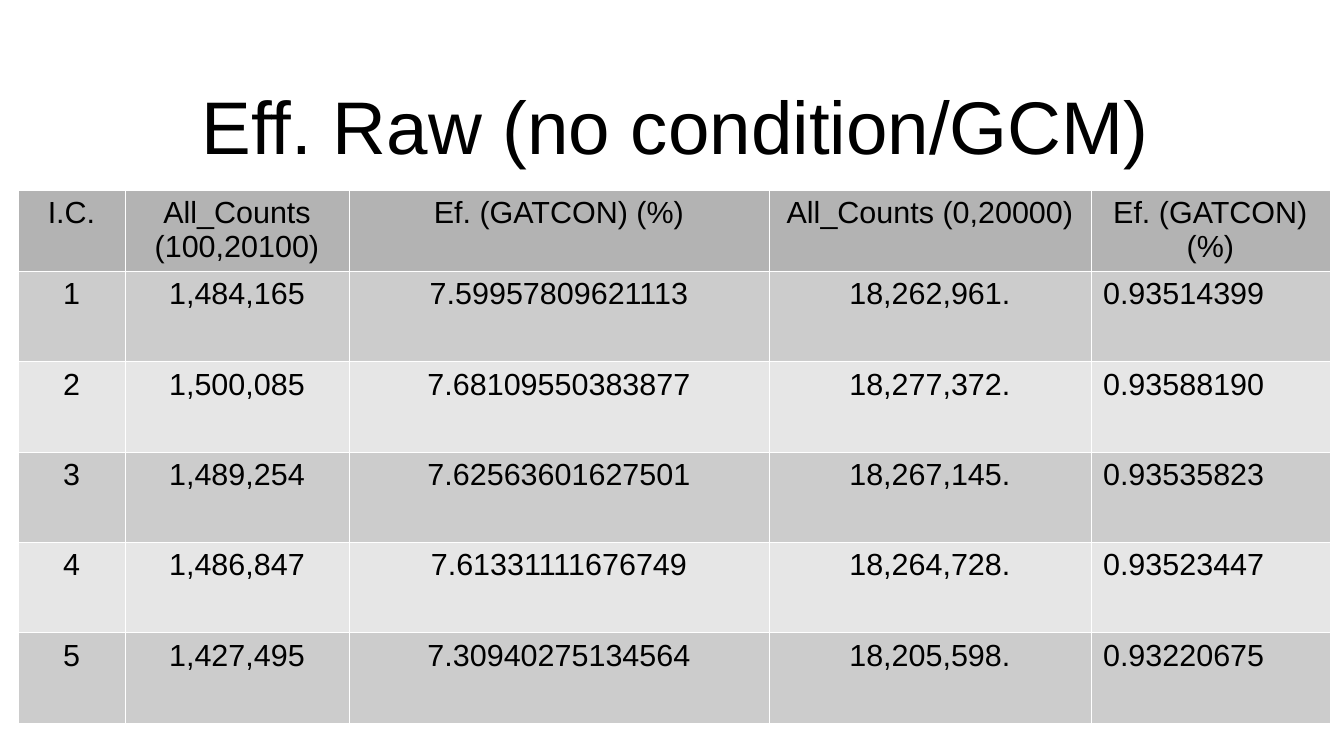
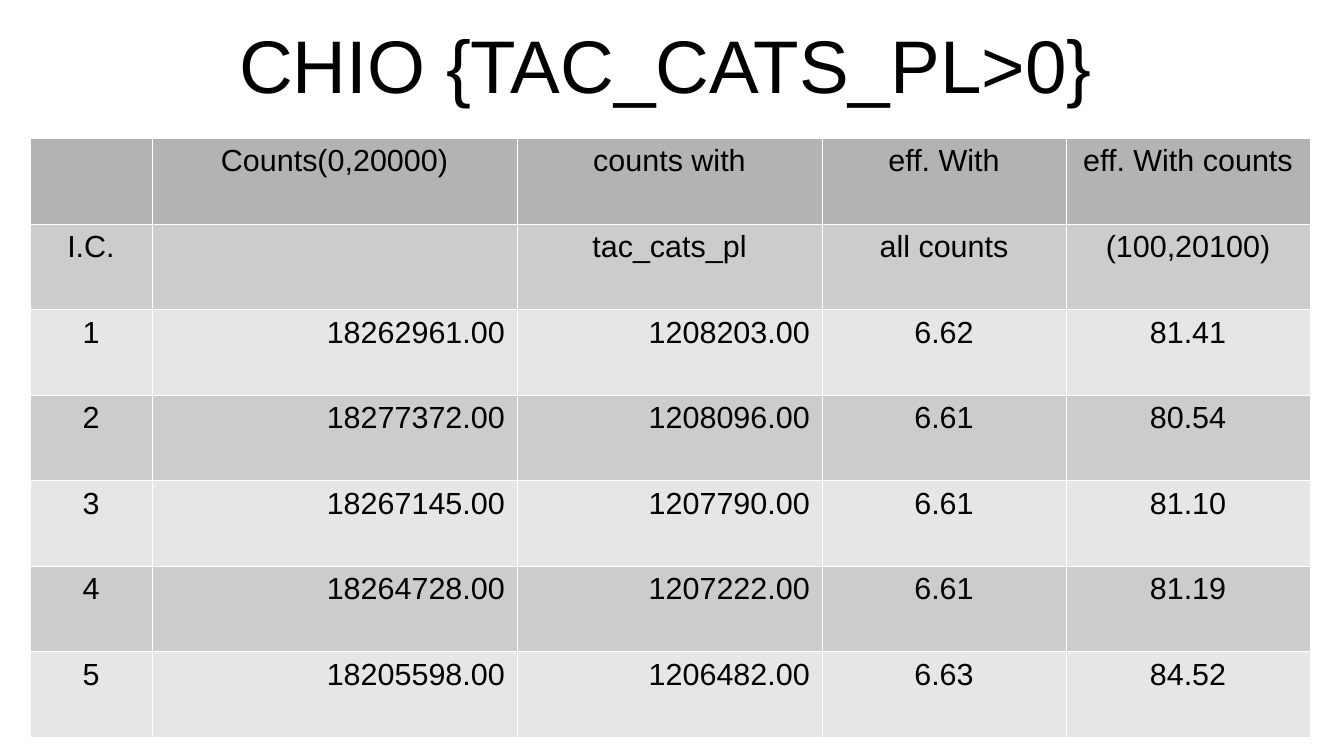
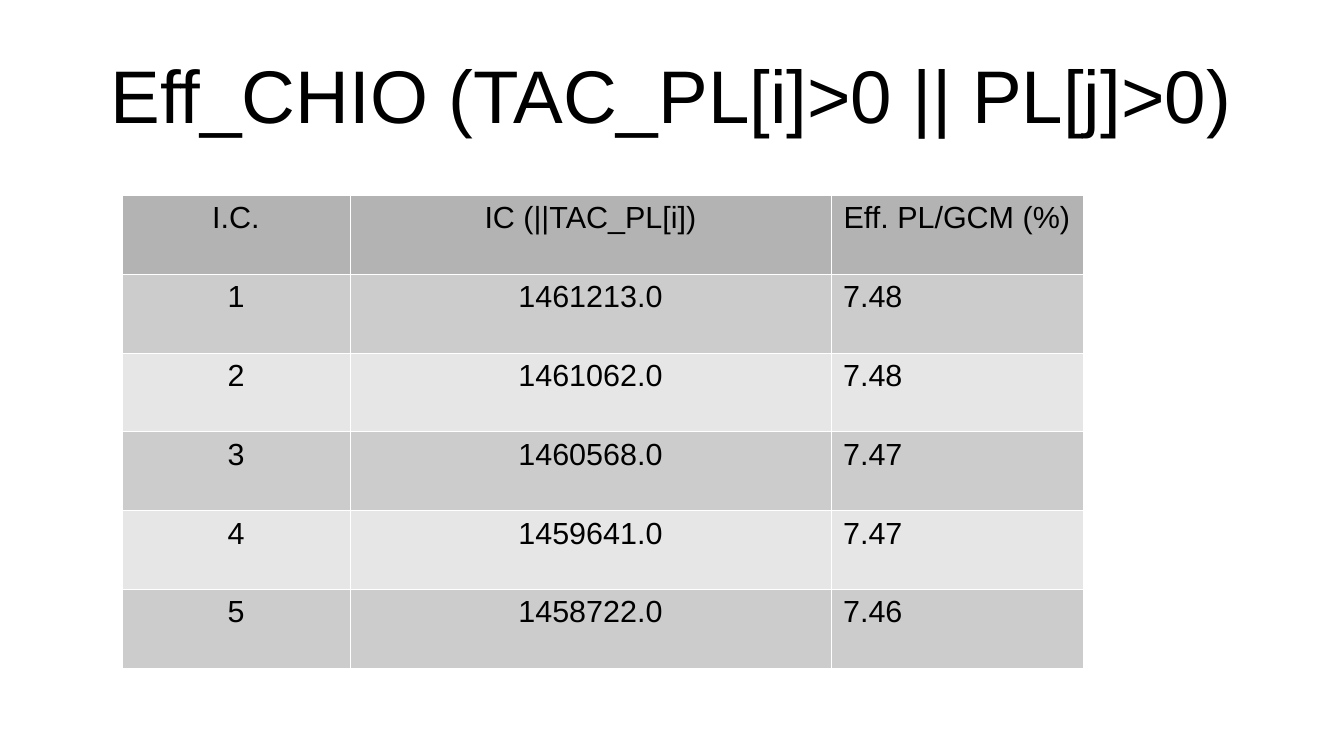
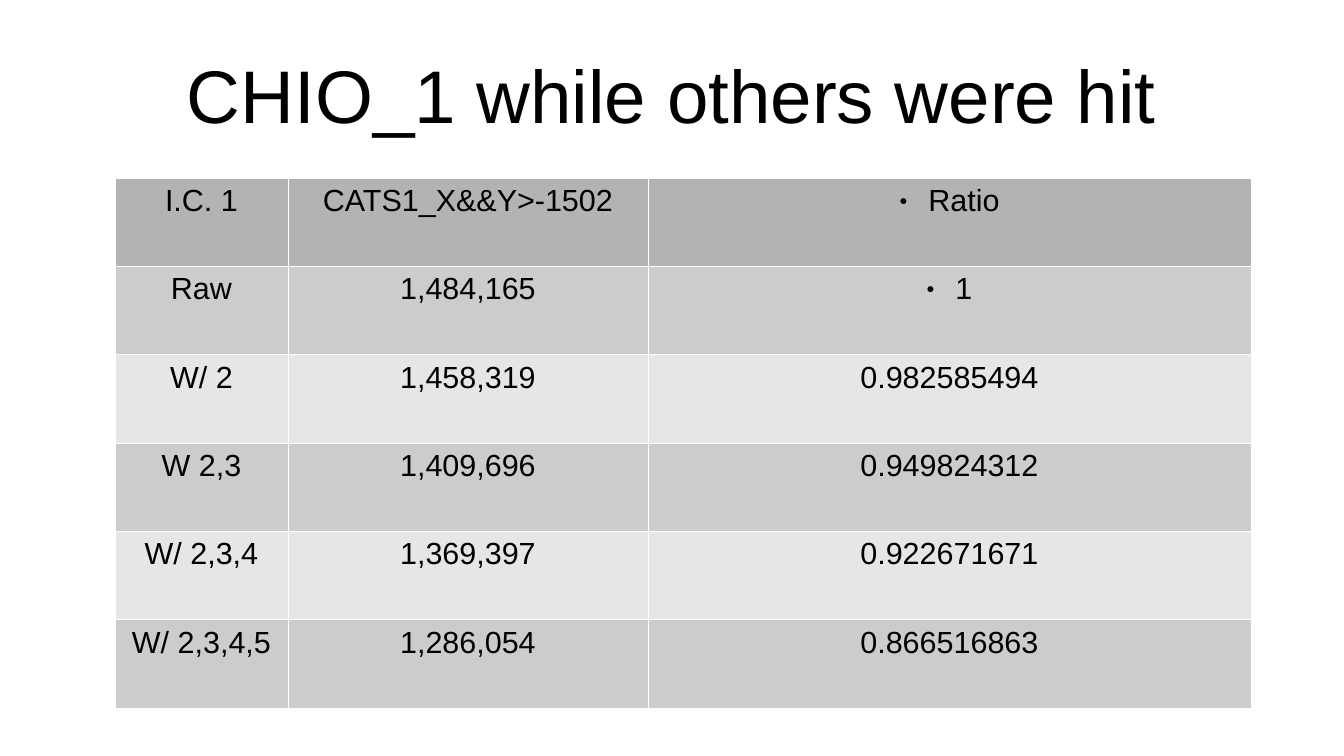
"""Build four slides of detector efficiency tables."""
import pptx
import pptx.dml.color
import pptx.enum.text
import pptx.oxml
import pptx.oxml.ns
import pptx.util

RGBColor = pptx.dml.color.RGBColor
PP_ALIGN = pptx.enum.text.PP_ALIGN
BLACK = RGBColor(0x00, 0x00, 0x00)
WHITE = RGBColor(0xFF, 0xFF, 0xFF)
HEADER = RGBColor(0xB3, 0xB3, 0xB3)
BANDS = (RGBColor(0xE6, 0xE6, 0xE6), RGBColor(0xCC, 0xCC, 0xCC))
ALIGN = {"l": PP_ALIGN.LEFT, "c": PP_ALIGN.CENTER, "r": PP_ALIGN.RIGHT}
FONT = "Arial"
PX = 914400 / 122
NS = pptx.oxml.ns.nsdecls("a")
BORDER = 762


def px(n):
    return pptx.util.Emu(round(n * PX))


def write(tf, text, size=18, align="c", bullet=False):
    p = tf.paragraphs[0]
    p.alignment = ALIGN[align]
    if bullet:
        pPr = p._p.get_or_add_pPr()
        pPr.set("marL", str(px(29)))
        pPr.set("indent", str(px(-29)))
        for xml in (f'<a:buClr {NS}><a:srgbClr val="{BLACK}"/></a:buClr>',
                    f'<a:buSzPct {NS} val="45000"/>',
                    f'<a:buFont {NS} typeface="{FONT}"/>',
                    f'<a:buChar {NS} char="●"/>'):
            pPr.append(pptx.oxml.parse_xml(xml))
    r = p.add_run()
    r.text = text
    r.font.name = FONT
    r.font.size = pptx.util.Pt(size)
    r.font.color.rgb = BLACK


SLIDES = [
    dict(title="Eff. Raw (no condition/GCM)", title_at=(71, 61),
         at=(18, 190), cols=(107, 224, 420, 322, 239), height=533, header=81,
         aligns="ccccl", centred_rows=1, bullets=(), rows=[
             ("I.C.", "All_Counts (100,20100)", "Ef. (GATCON) (%)",
              "All_Counts (0,20000)", "Ef. (GATCON) (%)"),
             ("1", "1,484,165", "7.59957809621113", "18,262,961.", "0.93514399"),
             ("2", "1,500,085", "7.68109550383877", "18,277,372.", "0.93588190"),
             ("3", "1,489,254", "7.62563601627501", "18,267,145.", "0.93535823"),
             ("4", "1,486,847", "7.61331111676749", "18,264,728.", "0.93523447"),
             ("5", "1,427,495", "7.30940275134564", "18,205,598.", "0.93220675")]),
    dict(title="CHIO {TAC_CATS_PL>0}", title_at=(61, 0),
         at=(30, 138), cols=(122, 365, 305, 244, 244), height=599, header=86,
         aligns="crrcc", centred_rows=2, bullets=(), rows=[
             ("", "Counts(0,20000)", "counts with", "eff. With", "eff. With counts"),
             ("I.C.", "", "tac_cats_pl", "all counts", "(100,20100)"),
             ("1", "18262961.00", "1208203.00", "6.62", "81.41"),
             ("2", "18277372.00", "1208096.00", "6.61", "80.54"),
             ("3", "18267145.00", "1207790.00", "6.61", "81.10"),
             ("4", "18264728.00", "1207222.00", "6.61", "81.19"),
             ("5", "18205598.00", "1206482.00", "6.63", "84.52")]),
    dict(title="Eff_CHIO (TAC_PL[i]>0 || PL[j]>0)", title_at=(67, 30),
         at=(122, 195), cols=(228, 481, 252), height=473, header=79,
         aligns="ccl", centred_rows=1, bullets=(), rows=[
             ("I.C.", "IC (||TAC_PL[i])", "Eff. PL/GCM (%)"),
             ("1", "1461213.0", "7.48"),
             ("2", "1461062.0", "7.48"),
             ("3", "1460568.0", "7.47"),
             ("4", "1459641.0", "7.47"),
             ("5", "1458722.0", "7.46")]),
    dict(title="CHIO_1 while others were hit", title_at=(67, 30),
         at=(115, 178), cols=(173, 360, 603), height=530, header=88,
         aligns="ccc", centred_rows=1, bullets=((0, 2), (1, 2)), rows=[
             ("I.C. 1", "CATS1_X&&Y>-1502", "Ratio"),
             ("Raw", "1,484,165", "1"),
             ("W/ 2", "1,458,319", "0.982585494"),
             ("W 2,3", "1,409,696", "0.949824312"),
             ("W/ 2,3,4", "1,369,397", "0.922671671"),
             ("W/ 2,3,4,5", "1,286,054", "0.866516863")]),
]

prs = pptx.Presentation()
prs.slide_width, prs.slide_height = px(1344), px(756)
for d in SLIDES:
    s = prs.slides.add_slide(prs.slide_layouts[5])
    sp = s.shapes.title
    x, y = d["title_at"]
    sp.left, sp.top, sp.width, sp.height = px(x), px(y), px(1210), px(127)
    tf = sp.text_frame
    tf.margin_left = tf.margin_top = tf.margin_right = tf.margin_bottom = 0
    tf.vertical_anchor = pptx.enum.text.MSO_ANCHOR.MIDDLE
    tf.auto_size = pptx.enum.text.MSO_AUTO_SIZE.NONE
    tf.word_wrap = True
    write(tf, d["title"], size=44)

    rows, cols = d["rows"], d["cols"]
    x, y = d["at"]
    tbl = s.shapes.add_table(len(rows), len(cols), px(x), px(y),
                             px(sum(cols)), px(d["height"])).table
    tbl.first_row = tbl.horz_banding = False
    for col, w in zip(tbl.columns, cols):
        col.width = px(w)
    for i, row in enumerate(rows):
        body = (d["height"] - d["header"]) / (len(rows) - 1)
        tbl.rows[i].height = px(body if i else d["header"])
        for j, text in enumerate(row):
            cell = tbl.cell(i, j)
            tcPr = cell._tc.get_or_add_tcPr()
            for side in ("lnL", "lnR", "lnT", "lnB"):
                tcPr.append(pptx.oxml.parse_xml(
                    f'<a:{side} {NS} w="{BORDER}"><a:solidFill>'
                    f'<a:srgbClr val="{WHITE}"/></a:solidFill></a:{side}>'))
            cell.fill.solid()
            cell.fill.fore_color.rgb = BANDS[i % 2] if i else HEADER
            if text:
                align = "c" if i < d["centred_rows"] else d["aligns"][j]
                write(cell.text_frame, text, align=align, bullet=(i, j) in d["bullets"])

prs.save("out.pptx")
